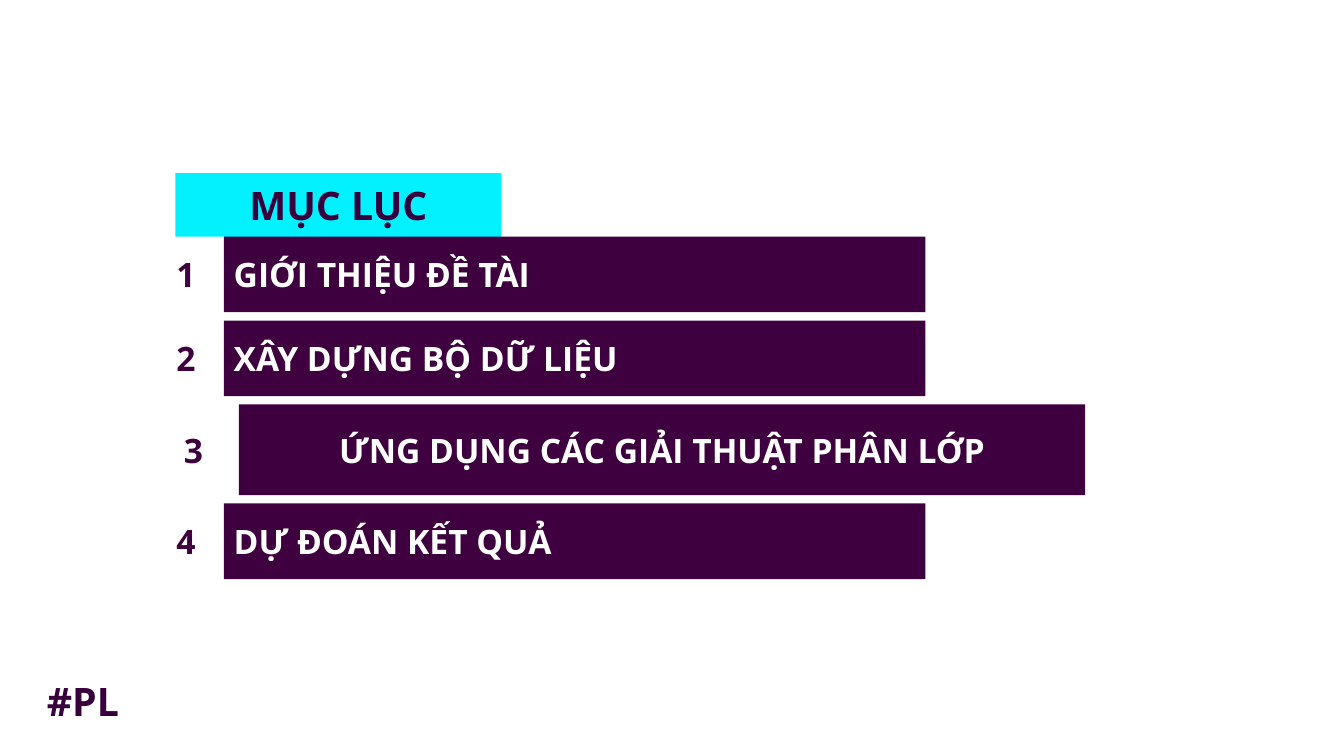
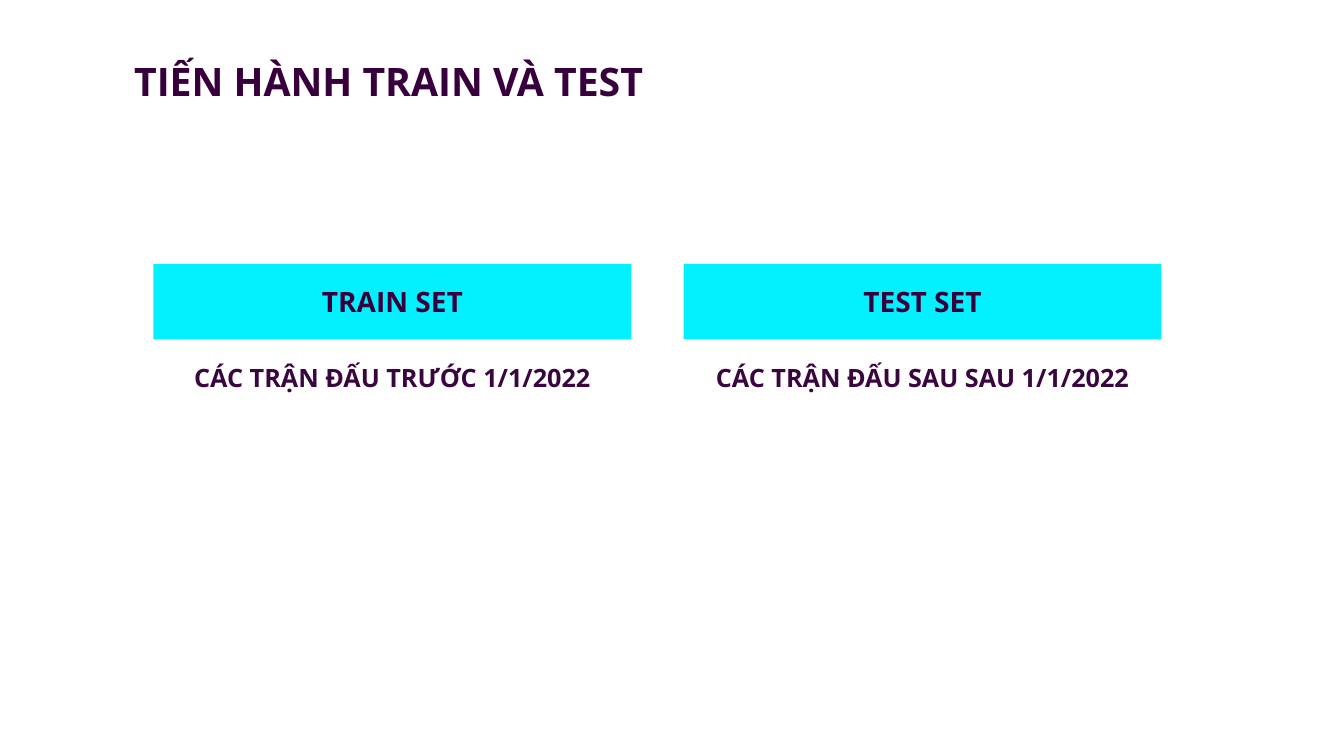
from lxml import etree
from pptx import Presentation
from pptx import util as u
from pptx.dml.color import RGBColor
from pptx.enum import shapes, text
from pptx.oxml import ns

PLUM = RGBColor(0x37, 0x00, 0x3C)
BAR_PLUM = RGBColor(0x3E, 0x00, 0x3E)
NOTE_PLUM = RGBColor(0x3A, 0x06, 0x40)
CYAN = RGBColor(0x03, 0xF1, 0xFF)
WHITE = RGBColor(0xFF, 0xFF, 0xFF)
FONT = "Open Sans"
LEFT, CENTER = text.PP_ALIGN.LEFT, text.PP_ALIGN.CENTER
TOP, MIDDLE = text.MSO_ANCHOR.TOP, text.MSO_ANCHOR.MIDDLE
TITLE_ONLY = 5
MODULE = 0.75  # inches; side of one square grid cell


class Deck:
    """Style and current slide; positions are in grid columns and rows."""

    def __init__(self):
        self.prs = Presentation()
        self.prs.slide_width = u.Inches(13.33)
        self.prs.slide_height = u.Inches(7.5)
        self.s = None

    def grid(self, *cells):
        return [u.Inches(cell * MODULE) for cell in cells]

    def set_text(self, sp, words, size, color, align, anchor):
        tf = sp.text_frame
        tf.text = words
        tf.word_wrap = True
        tf.auto_size = text.MSO_AUTO_SIZE.NONE
        tf.vertical_anchor = anchor
        p = tf.paragraphs[0]
        p.alignment = align
        p.font.name, p.font.size, p.font.bold = FONT, u.Pt(size), True
        p.font.color.rgb = color

    def slide(self, title, x, y, w, h, fill=None, align=LEFT, anchor=TOP):
        """Start a title-only slide and place its title."""
        self.s = self.prs.slides.add_slide(self.prs.slide_layouts[TITLE_ONLY])
        sp = self.s.shapes.title
        sp.left, sp.top, sp.width, sp.height = self.grid(x, y, w, h)
        if fill is not None:
            sp.fill.solid()
            sp.fill.fore_color.rgb = fill
        self.set_text(sp, title, 28, PLUM, align, anchor)

    def label(self, words, x, y, w, h):
        sp = self.s.shapes.add_textbox(*self.grid(x, y, w, h))
        self.set_text(sp, words, 28, PLUM, LEFT, TOP)

    def band(self, words, x, y, w, h, fill, color, size=24, align=CENTER):
        sp = self.s.shapes.add_shape(shapes.MSO_SHAPE.RECTANGLE,
                                     *self.grid(x, y, w, h))
        sp.shadow.inherit = False
        sp.fill.solid()
        sp.fill.fore_color.rgb = fill
        sp.line.fill.background()
        self.set_text(sp, words, size, color, align, MIDDLE)
        return sp

    def number(self, value, x, y, side):
        """Draw a number in a white square, its digits outlined."""
        sp = self.band(str(value), x, y, side, side, WHITE, BAR_PLUM)
        r = sp.text_frame.paragraphs[0].runs[0]
        ln = etree.Element(ns.qn("a:ln"), w=str(u.Pt(0.75)))
        fill = etree.SubElement(ln, ns.qn("a:solidFill"))
        etree.SubElement(fill, ns.qn("a:srgbClr"), val=str(BAR_PLUM))
        r._r.get_or_add_rPr().insert(0, ln)


def contents(deck):
    deck.slide("MỤC LỤC", 2.32, 2.29, 4.31, 0.85, CYAN, CENTER, MIDDLE)
    deck.label("#PL", 0.49, 8.89, 1.47, 0.76)
    items = [
        ("GIỚI THIỆU ĐỀ TÀI", 1, 9.28, LEFT),
        ("XÂY DỰNG BỘ DỮ LIỆU", 1, 9.28, LEFT),
        ("ỨNG DỤNG CÁC GIẢI THUẬT PHÂN LỚP", 1.2, 11.19, CENTER),
        ("DỰ ĐOÁN KẾT QUẢ", 1, 9.28, LEFT),
    ]
    x, y, gap = 1.96, 3.13, 0.11
    for value, (words, height, width, align) in enumerate(items, 1):
        deck.number(value, x, y, height)
        deck.band(words, x + height, y, width, height, BAR_PLUM, WHITE,
                  align=align)
        y += height + gap


def train_and_test(deck):
    deck.slide("TIẾN HÀNH TRAIN VÀ TEST", 1.64, 0.69, 7.72, 0.76)
    sets = [
        ("TRAIN SET", "CÁC TRẬN ĐẤU TRƯỚC 1/1/2022"),
        ("TEST SET", "CÁC TRẬN ĐẤU SAU SAU 1/1/2022"),
    ]
    y, width, gap = 3.49, 6.32, 0.69
    for col, (name, matches) in enumerate(sets):
        x = 2.03 + col * (width + gap)
        deck.band(matches, x, y + 1, width, 1, WHITE, NOTE_PLUM, 18)
        deck.band(name, x, y, width, 1, CYAN, PLUM, 20)


def main():
    deck = Deck()
    contents(deck)
    train_and_test(deck)
    deck.prs.save("out.pptx")


if __name__ == "__main__":
    main()
